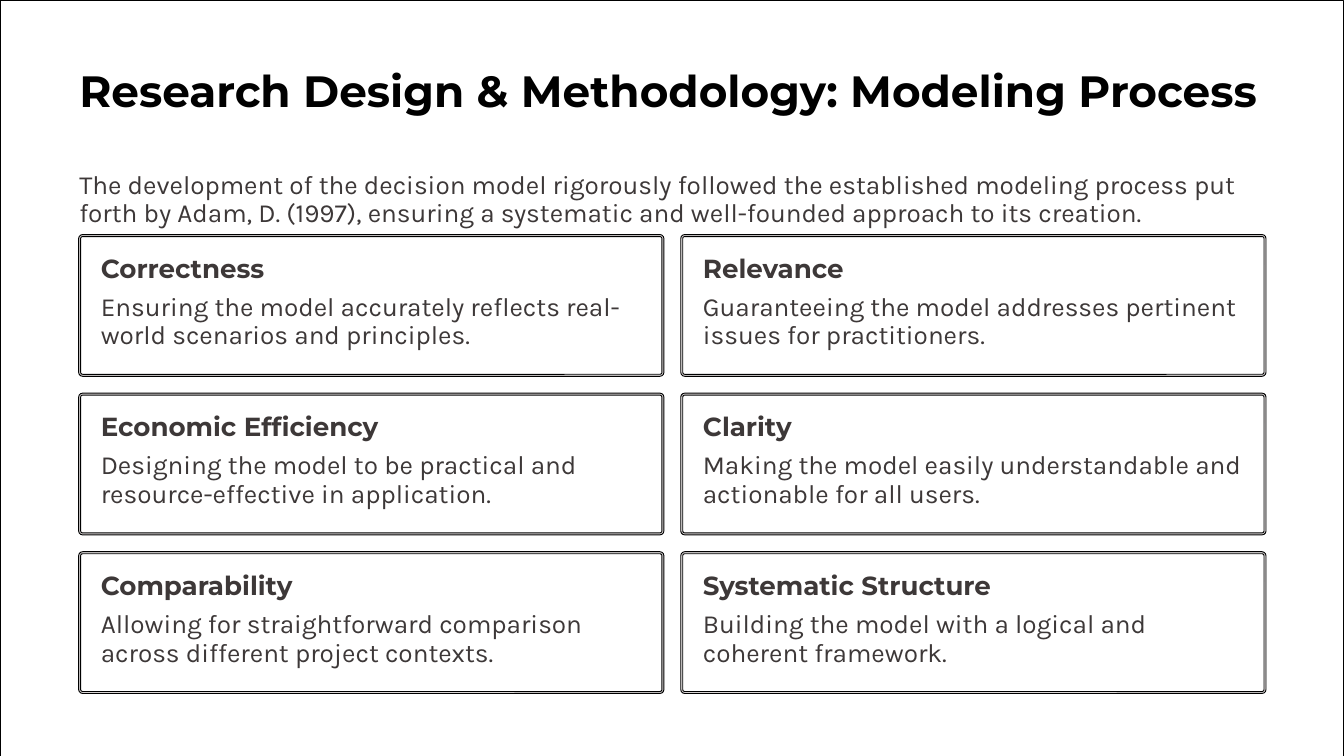
"""Build a slide on the modeling process with six principle cards."""
import dataclasses

import pptx
import pptx.dml.color
import pptx.enum.shapes
import pptx.util

Inches = pptx.util.Inches
Pt = pptx.util.Pt
RGB = pptx.dml.color.RGBColor.from_string
KIND = pptx.enum.shapes.MSO_SHAPE


@dataclasses.dataclass(frozen=True)
class Theme:
    black: str = "000000"
    white: str = "FFFFFF"
    ink: str = "3D3838"
    rim: str = "D8D4D4"
    head: str = "Montserrat"
    body: str = "Karla"
    big: float = 46.9
    small: float = 28


theme = Theme()


def add_text(text, *, left, top, width, height, lead, font=theme.body,
             size=theme.small, color=theme.ink, bold=False):
    box = slide.shapes.add_textbox(Inches(left), Inches(top), Inches(width), Inches(height))
    frame = box.text_frame
    frame.word_wrap = True
    frame.margin_left = frame.margin_right = frame.margin_top = frame.margin_bottom = 0
    line = frame.paragraphs[0]
    line.line_spacing = Pt(lead)
    run = line.add_run()
    run.text = text
    run.font.name = font
    run.font.size = Pt(size)
    run.font.bold = bold
    run.font.color.rgb = RGB(color)


def add_panel(left, top, width, height, fill, curve=0):
    kind = KIND.ROUNDED_RECTANGLE if curve else KIND.RECTANGLE
    panel = slide.shapes.add_shape(kind, Inches(left), Inches(top), Inches(width), Inches(height))
    if curve:
        panel.adjustments[0] = curve / height
    panel.shadow.inherit = False
    panel.fill.solid()
    panel.fill.fore_color.rgb = RGB(fill)
    panel.line.color.rgb = RGB(theme.black)
    panel.line.width = Pt(1)


deck = pptx.Presentation()
deck.slide_width = Inches(20)
deck.slide_height = Inches(11.25)
slide = deck.slides.add_slide(deck.slide_layouts[6])
slide.background.fill.solid()
slide.background.fill.fore_color.rgb = RGB(theme.black)

add_panel(0, 0, 20, 11.25, theme.white)
add_text("Research Design & Methodology: Modeling Process",
         left=1.18, top=0.92, width=17.53, height=0.84, lead=58.1,
         font=theme.head, size=theme.big, color=theme.black, bold=True)
add_text("The development of the decision model rigorously followed the established "
         "modeling process put forth by Adam, D. (1997), ensuring a systematic and "
         "well-founded approach to its creation.",
         left=1.18, top=2.54, width=17.64, height=0.86, lead=30.6)

cards = [
    ("Correctness", "Ensuring the model accurately reflects real-world scenarios and principles."),
    ("Relevance", "Guaranteeing the model addresses pertinent issues for practitioners."),
    ("Economic Efficiency",
     "Designing the model to be practical and resource-effective in application."),
    ("Clarity", "Making the model easily understandable and actionable for all users."),
    ("Comparability",
     "Allowing for straightforward comparison across different project contexts."),
    ("Systematic Structure", "Building the model with a logical and coherent framework."),
]
wide, tall, rim = 8.71, 2.11, 0.03

for index, (name, detail) in enumerate(cards):
    row, col = divmod(index, 2)
    left = 1.17 + 8.96 * col
    top = 3.49 + 2.36 * row
    add_panel(left, top, wide, tall, theme.rim, curve=0.06)
    add_panel(left + rim, top + rim, wide - 2 * rim, tall - 2 * rim, theme.white, curve=0.03)
    add_text(name, left=left + 0.33, top=top + 0.33, width=8.04, height=0.4,
             lead=28.8, font=theme.head, bold=True)
    add_text(detail, left=left + 0.33, top=top + 0.87, width=8.04, height=0.86, lead=30.6)

deck.save("out.pptx")
